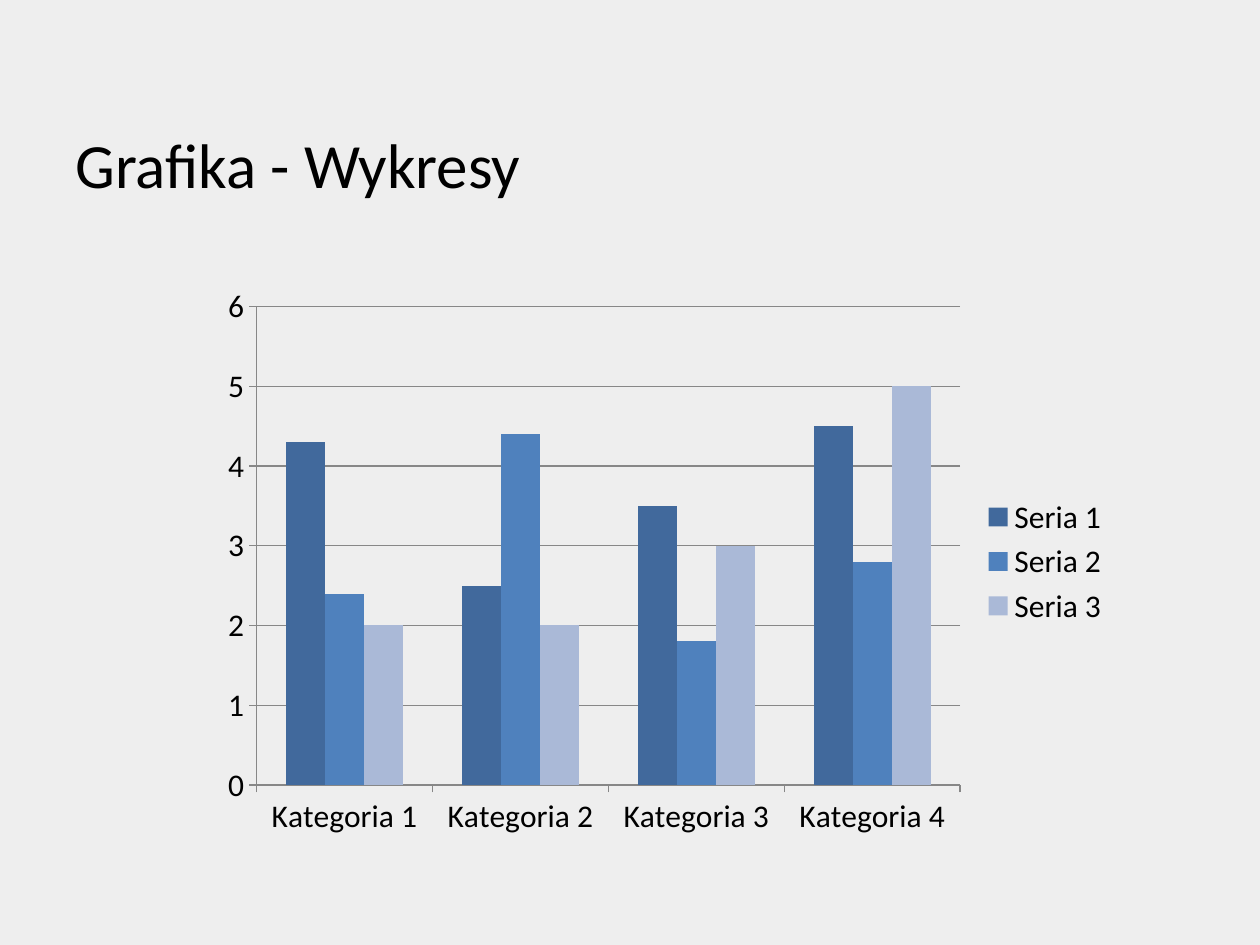
from pptx import Presentation
from pptx import util as u
from pptx.chart.data import CategoryChartData
from pptx.dml.color import RGBColor
from pptx.enum import chart as ch, text

PX = 914400 // 126
FONT = "Calibri"
COLORS = {"background": "EEEEEE", "text": "000000", "line": "878787"}

TITLE = "Grafika - Wykresy"
TITLE_BOX = (63, 49, 1134, 158)
CHART_BOX = (210, 276, 912, 571)
CATEGORIES = [f"Kategoria {n}" for n in range(1, 5)]
SERIES = [
    ("Seria 1", (4.3, 2.5, 3.5, 4.5), "41699C"),
    ("Seria 2", (2.4, 4.4, 1.8, 2.8), "4F81BD"),
    ("Seria 3", (2, 2, 3, 5), "AAB9D7"),
]


def px(box):
    return [n * PX for n in box]


def style_font(font, size):
    font.name = FONT
    font.size = u.Pt(size)
    font.bold = False
    font.color.rgb = RGBColor.from_string(COLORS["text"])


def style_line(line):
    line.color.rgb = RGBColor.from_string(COLORS["line"])
    line.width = u.Pt(0.75)


def add_title(slide):
    tf = slide.shapes.add_textbox(*px(TITLE_BOX)).text_frame
    tf.word_wrap = True
    tf.vertical_anchor = text.MSO_ANCHOR.BOTTOM
    tf.text = TITLE
    style_font(tf.paragraphs[0].runs[0].font, 36)


def add_column_chart(slide):
    data = CategoryChartData()
    data.categories = CATEGORIES
    for name, values, _ in SERIES:
        data.add_series(name, values)
    chart = slide.shapes.add_chart(
        ch.XL_CHART_TYPE.COLUMN_CLUSTERED, *px(CHART_BOX), data).chart
    chart.has_title = False
    style_font(chart.font, 18)

    chart.has_legend = True
    chart.legend.position = ch.XL_LEGEND_POSITION.RIGHT
    chart.legend.include_in_layout = False

    plot = chart.plots[0]
    plot.gap_width = 150
    plot.overlap = 0
    plot.vary_by_categories = False
    for series, (_, _, color) in zip(plot.series, SERIES):
        series.format.fill.solid()
        series.format.fill.fore_color.rgb = RGBColor.from_string(color)

    for axis in (chart.category_axis, chart.value_axis):
        axis.major_tick_mark = ch.XL_TICK_MARK.OUTSIDE
        axis.minor_tick_mark = ch.XL_TICK_MARK.NONE
        style_line(axis.format.line)
    axis = chart.value_axis
    axis.minimum_scale, axis.maximum_scale, axis.major_unit = 0, 6, 1
    axis.has_major_gridlines = True
    style_line(axis.major_gridlines.format.line)


def main():
    prs = Presentation()
    prs.slide_width, prs.slide_height = u.Inches(10), u.Inches(7.5)
    slide = prs.slides.add_slide(prs.slide_layouts[6])
    fill = slide.background.fill
    fill.solid()
    fill.fore_color.rgb = RGBColor.from_string(COLORS["background"])
    add_title(slide)
    add_column_chart(slide)
    prs.save("out.pptx")


if __name__ == "__main__":
    main()
